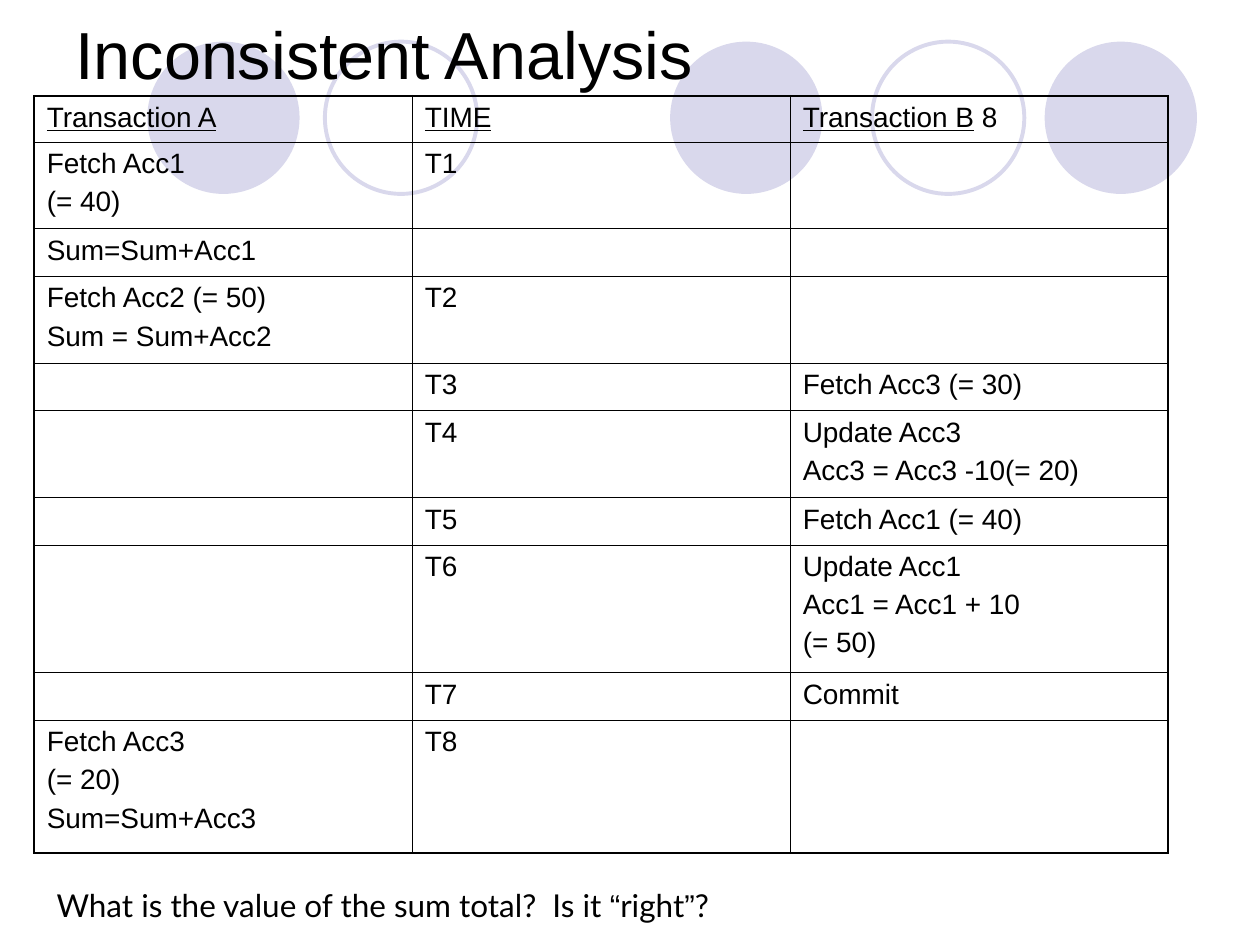
from typing import NamedTuple

from lxml.etree import SubElement as Sub
from pptx import Presentation
from pptx.dml.color import RGBColor as Rgb
from pptx.enum.shapes import MSO_SHAPE as Kind
from pptx.enum.text import MSO_ANCHOR as Anchor
from pptx.oxml.ns import qn
from pptx.util import Cm, Pt

HUES = {"text": "000000", "rule": "000000", "disc": "D9D8EC"}
THICK, THIN = Pt(1.08), Pt(0.45)
SIZE = 16


class Run(NamedTuple):
    text: str
    font: str = "Arial"
    under: bool = False


class Disc(NamedTuple):
    left: float
    solid: bool


class Row(NamedTuple):
    high: float
    cells: tuple[list[list[Run]], ...]


def row(high: float, *texts: str) -> Row:
    return Row(high, tuple([[Run(line)] for line in text.splitlines()] for text in texts))


DISCS = [
    Disc(13.51, True),
    Disc(21.06, True),
    Disc(2.97, True),
    Disc(17.58, False),
    Disc(6.55, False),
]

HEAD = Row(0.93, (
    [[Run("Transaction A", under=True)]],
    [[Run("TIME", under=True)]],
    [[Run("Transaction B", under=True), Run(" 8")]],
))
ROWS = [
    HEAD,
    row(1.75, "Fetch Acc1\n(= 40)", "T1", ""),
    row(0.96, "Sum=Sum+Acc1", "", ""),
    row(1.75, "Fetch Acc2 (= 50)\nSum = Sum+Acc2", "T2", ""),
    row(0.96, "", "T3", "Fetch Acc3 (= 30)"),
    row(1.75, "", "T4", "Update Acc3\nAcc3 = Acc3 -10(= 20)"),
    row(0.96, "", "T5", "Fetch Acc1 (= 40)"),
    row(2.57, "", "T6", "Update Acc1\nAcc1 = Acc1 + 10\n(= 50)"),
    row(0.96, "", "T7", "Commit"),
    row(2.67, "Fetch Acc3\n(= 20)\nSum=Sum+Acc3", "T8", ""),
]
TITLE = [Run("Inconsistent Analysis")]
QUERY = [
    Run("What is the value of the sum total?  Is it ", "Lato"),
    Run("“"),
    Run("right", "Lato"),
    Run("”"),
    Run("?", "Lato"),
]


def hue(name: str) -> Rgb:
    return Rgb.from_string(HUES[name])


def write(para, runs: list[Run], size: float) -> None:
    for item in runs:
        run = para.add_run()
        run.text = item.text
        font = run.font
        font.name, font.size = item.font, Pt(size)
        font.color.rgb = hue("text")
        if item.under:
            font.underline = True


def draw_disc(slide, disc: Disc) -> None:
    shape = slide.shapes.add_shape(Kind.OVAL, Cm(disc.left), Cm(0.84), Cm(3.07), Cm(3.07))
    shape.shadow.inherit = False
    if disc.solid:
        shape.fill.solid()
        shape.fill.fore_color.rgb = hue("disc")
        shape.line.fill.background()
    else:
        shape.fill.background()
        shape.line.color.rgb = hue("disc")
        shape.line.width = Pt(2.25)


def draw_text(slide, box: tuple[float, ...], runs: list[Run], size: float, anchor) -> None:
    frame = slide.shapes.add_textbox(*map(Cm, box)).text_frame
    frame.word_wrap = True
    frame.vertical_anchor = anchor
    write(frame.paragraphs[0], runs, size)


def edge(cell, sides: dict[str, bool]) -> None:
    props = cell._tc.get_or_add_tcPr()
    for side, outer in sides.items():
        line = Sub(props, qn(f"a:ln{side}"), w=str(THICK if outer else THIN))
        fill = Sub(line, qn("a:solidFill"))
        Sub(fill, qn("a:srgbClr"), val=HUES["rule"])


def fill_cell(cell, lines: list[list[Run]]) -> None:
    frame = cell.text_frame
    for i, runs in enumerate(lines):
        para = frame.add_paragraph() if i else frame.paragraphs[0]
        if i:
            para.space_before = Pt(4)
        write(para, runs, SIZE)
    if not lines:
        Sub(frame.paragraphs[0]._p, qn("a:endParaRPr"), sz=str(SIZE * 100))


def draw_table(slide, rows: list[Row]) -> None:
    wide = len(HEAD.cells)
    high = sum(item.high for item in rows)
    table = slide.shapes.add_table(
        len(rows), wide, Cm(0.69), Cm(1.93), Cm(22.86), Cm(high)
    ).table
    table.first_row = table.horz_banding = False
    for y, item in enumerate(rows):
        table.rows[y].height = Cm(item.high)
        for x, lines in enumerate(item.cells):
            cell = table.cell(y, x)
            edge(cell, {
                "L": x == 0,
                "R": x == wide - 1,
                "T": y == 0,
                "B": y == len(rows) - 1,
            })
            cell.fill.background()
            fill_cell(cell, lines)


def main() -> None:
    deck = Presentation()
    deck.slide_width, deck.slide_height = Cm(25.4), Cm(19.05)
    slide = deck.slides.add_slide(deck.slide_layouts[6])
    for disc in DISCS:
        draw_disc(slide, disc)
    draw_text(slide, (1.27, 0, 24.13, 2.13), TITLE, 38, Anchor.MIDDLE)
    draw_table(slide, ROWS)
    draw_text(slide, (0.89, 17.73, 24.51, 1.02), QUERY, 18, Anchor.TOP)
    deck.save("out.pptx")


if __name__ == "__main__":
    main()
